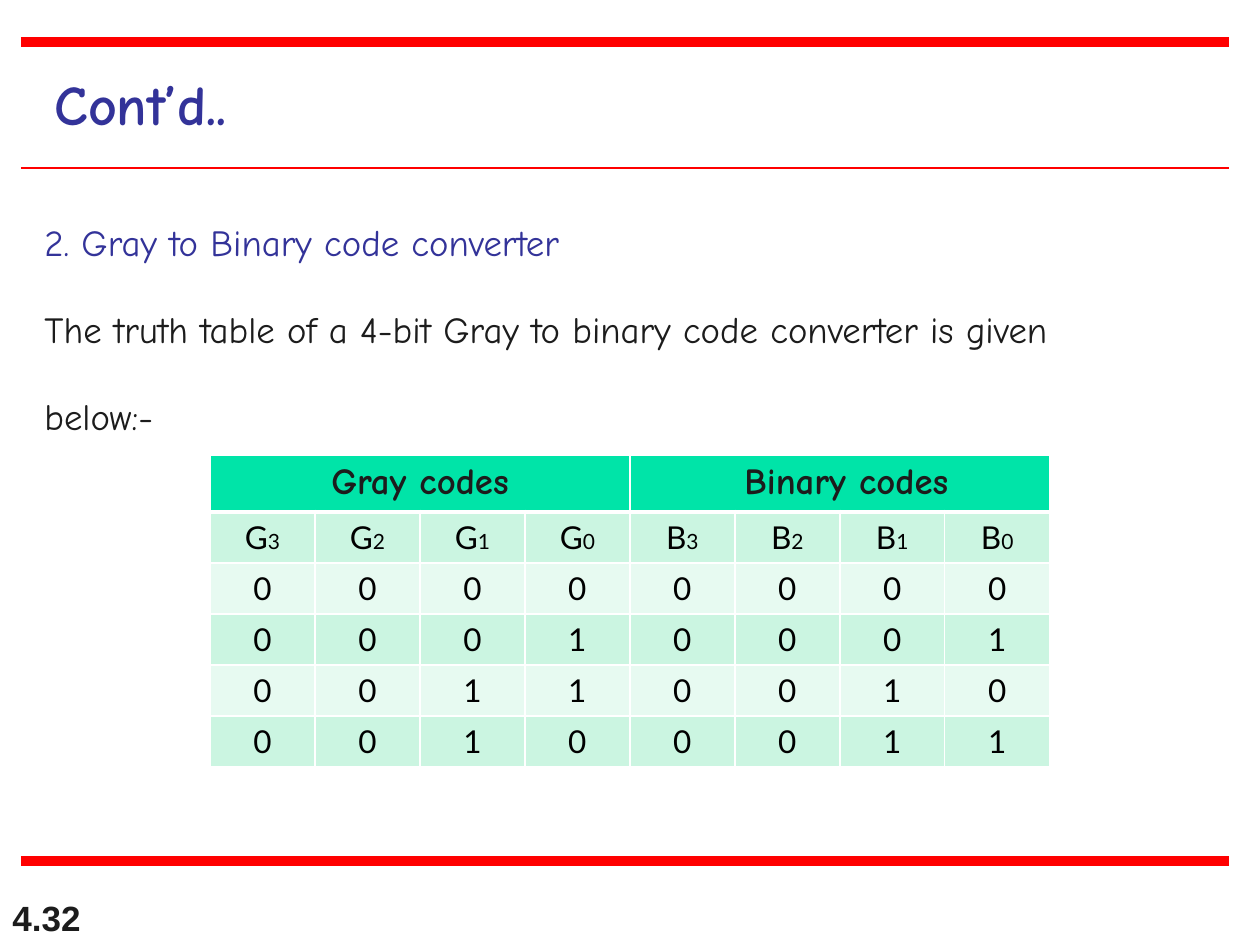
import pptx
import pptx.dml.color
import pptx.enum.shapes
import pptx.enum.text
import pptx.oxml
import pptx.oxml.ns
import pptx.util

PX = 914400 // 126
COLORS = {"red": "FF0000", "blue": "333399", "ink": "1C1C1C", "black": "000000",
          "white": "FFFFFF", "header": "00E4A8", "band": "CBF5E1", "pale": "E7FAF1"}
TITLE = {"name": "Comic Neue", "size": 32, "bold": True, "color": "blue"}
HEADING = {"name": "Comic Neue", "size": 21, "bold": False, "color": "blue"}
BODY = HEADING | {"color": "ink"}
HEADER = BODY | {"bold": True}
CELL = {"name": "Lato", "size": 18, "bold": False, "color": "black"}
INDEX = CELL | {"size": 12}
NUMBER = {"name": "Arial", "size": 20, "bold": True, "color": "ink"}
ALIGN = pptx.enum.text.PP_ALIGN
ANCHOR = pptx.enum.text.MSO_ANCHOR


def add_span(para, text, style):
    span = para.add_run()
    span.text = text
    for name, value in style.items():
        if name == "color":
            span.font.color.rgb = pptx.dml.color.RGBColor.from_string(COLORS[value])
        else:
            setattr(span.font, name, pptx.util.Pt(value) if name == "size" else value)


def add_box(left, top, width, height, **frame_format):
    box = slide.shapes.add_textbox(left * PX, top * PX, width * PX, height * PX)
    for name, value in frame_format.items():
        setattr(box.text_frame, name, value)
    return box.text_frame


deck = pptx.Presentation()
deck.slide_width = 1260 * PX
deck.slide_height = 945 * PX
slide = deck.slides.add_slide(deck.slide_layouts[6])

# Horizontal rules
for y, weight in ((42, 6), (168, 1.5), (861, 6)):
    rule = slide.shapes.add_connector(
        pptx.enum.shapes.MSO_CONNECTOR.STRAIGHT, 21 * PX, y * PX, 1229 * PX, y * PX)
    rule.line.width = pptx.util.Pt(weight)
    rule.line.color.rgb = pptx.dml.color.RGBColor.from_string(COLORS["red"])
    rule.element.spPr.append(pptx.oxml.parse_xml(
        f"<a:effectLst {pptx.oxml.ns.nsdecls('a')}/>"))

# Title and slide number
title = add_box(42, 63, 242, 81, word_wrap=False)
add_span(title.paragraphs[0], "Cont’d..", TITLE)
number = add_box(0, 882, 262, 63, word_wrap=True, vertical_anchor=ANCHOR.BOTTOM)
add_span(number.paragraphs[0], "4.32", NUMBER)

# Introduction
intro = add_box(32, 194, 1166, 258, word_wrap=True,
                vertical_anchor=ANCHOR.BOTTOM, margin_bottom=14 * PX)
intro_lines = (
    ("2. Gray to Binary code converter", HEADING),
    ("The truth table of a 4-bit Gray to binary code converter is given", BODY),
    ("below:-", BODY),
)
for index, (text, style) in enumerate(intro_lines):
    para = intro.add_paragraph() if index else intro.paragraphs[0]
    para.alignment = ALIGN.JUSTIFY
    para.line_spacing = 1.5
    para.space_before = pptx.util.Pt(12 if index else 0)
    para._p.get_or_add_pPr().set("marL", str(63 * PX))
    para._p.get_or_add_pPr().set("indent", str(-63 * PX))
    add_span(para, text, style)

# Truth table: each cell is a list of (text, style) spans
labels = [[(letter, CELL), (digit, INDEX)] for letter in "GB" for digit in "3210"]
values = [[[(bit, CELL)] for bit in bits]
          for bits in ("00000000", "00010001", "00110010", "00100011")]
headers = [[("Gray codes", HEADER)], [], [], [],
           [(" Binary codes", HEADER)], [], [], []]
rows = [headers, labels, *values]
frame = slide.shapes.add_table(len(rows), 8, 210 * PX, 455 * PX, 840 * PX, 312 * PX)
table = frame.table
for column in table.columns:
    column.width = 105 * PX
for row_index, row in enumerate(rows):
    table.rows[row_index].height = (51 if row_index else 57) * PX
    fill = ("band" if row_index % 2 else "pale") if row_index else "header"
    for column_index, spans in enumerate(row):
        cell = table.cell(row_index, column_index)
        para = cell.text_frame.paragraphs[0]
        para.alignment = ALIGN.CENTER
        for text, style in spans:
            add_span(para, text, style)
        borders = {"lnL": 1, "lnR": 1, "lnT": 3 if row_index == 1 else 1,
                   "lnB": 1 if row_index else 3}
        for side, points in borders.items():
            cell._tc.get_or_add_tcPr().append(pptx.oxml.parse_xml(
                f"<a:{side} {pptx.oxml.ns.nsdecls('a')} w='{points * 12700}'>"
                f"<a:solidFill><a:srgbClr val='{COLORS['white']}'/></a:solidFill>"
                f"</a:{side}>"))
        cell.fill.solid()
        cell.fill.fore_color.rgb = pptx.dml.color.RGBColor.from_string(COLORS[fill])
for first in (0, 4):
    table.cell(0, first).merge(table.cell(0, first + 3))

deck.save("out.pptx")
